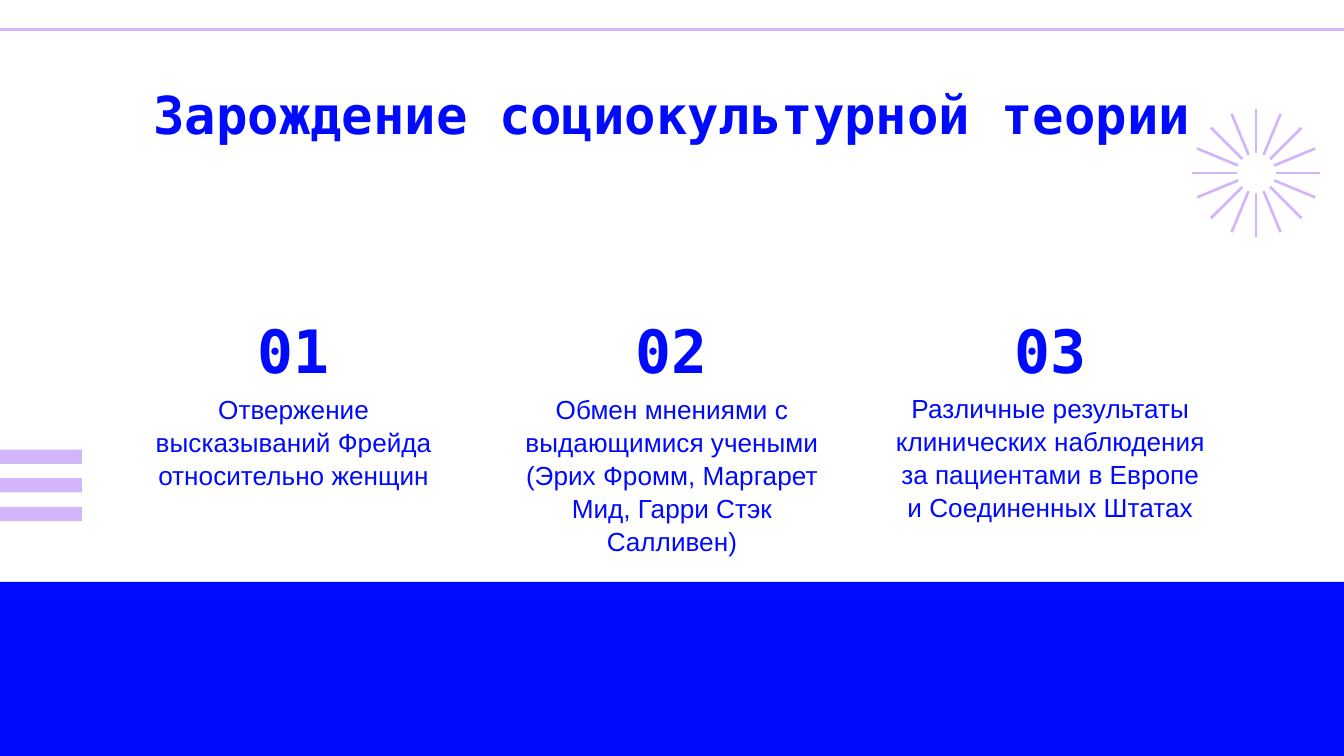
import math

from lxml import etree
from pptx import Presentation
from pptx import util as u
from pptx.dml.color import RGBColor
from pptx.enum import shapes, text
from pptx.oxml.ns import qn

BLUE, LILAC = "000BFD", "D2B5FA"
MONO, SANS = "DejaVu Sans Mono", "Arial"
TITLE = "Зарождение социокультурной теории"
# Number, description, description top and width in cm
COLUMNS = [
    ("01", "Отвержение высказываний Фрейда относительно женщин", 7.16, 5.87),
    ("02", "Обмен мнениями с выдающимися учеными "
           "(Эрих Фромм, Маргарет Мид, Гарри Стэк Салливен)", 7.16, 6.12),
    ("03", "Различные результаты клинических наблюдения "
           "за пациентами в Европе и Соединенных Штатах", 7.14, 6.38),
]


def color(value):
    return RGBColor.from_string(value)


def paint(shape, fill):
    shape.shadow.inherit = False
    shape.fill.solid()
    shape.fill.fore_color.rgb = color(fill)
    shape.line.fill.background()


def add_bar(slide, left, top, width, height, fill):
    bar = slide.shapes.add_shape(shapes.MSO_SHAPE.RECTANGLE, u.Cm(left),
                                 u.Cm(top), u.Cm(width), u.Cm(height))
    paint(bar, fill)


def add_rule(slide, left, right, top):
    rule = slide.shapes.add_connector(shapes.MSO_CONNECTOR.STRAIGHT, u.Cm(left),
                                      u.Cm(top), u.Cm(right), u.Cm(top))
    rule.line.color.rgb = color(LILAC)
    rule.line.width = u.Pt(1.5)
    etree.SubElement(rule._element.spPr, qn("a:effectLst"))


def add_starburst(slide, center_x, center_y, inner, outer, half_width, rays=16):
    for ray in range(rays):
        angle = 2 * math.pi * ray / rays
        cos, sin = math.cos(angle), math.sin(angle)
        corners = [(u.Cm(center_x + along * cos - across * sin),
                    u.Cm(center_y + along * sin + across * cos))
                   for along, across in ((inner, -half_width), (outer, -half_width),
                                         (outer, half_width), (inner, half_width))]
        builder = slide.shapes.build_freeform(*corners[0])
        builder.add_line_segments(corners[1:], close=True)
        paint(builder.convert_to_shape(), LILAC)


def write(shape, box, content, font, size, bold=False,
          anchor=text.MSO_ANCHOR.TOP, spacing=1.0):
    shape.left, shape.top, shape.width, shape.height = map(u.Cm, box)
    frame = shape.text_frame
    frame.text = content
    frame.word_wrap = True
    frame.auto_size = text.MSO_AUTO_SIZE.NONE
    frame.vertical_anchor = anchor
    frame.margin_left = frame.margin_right = u.Cm(0.25)
    frame.margin_top = frame.margin_bottom = u.Cm(0.25)
    paragraph = frame.paragraphs[0]
    paragraph.alignment = text.PP_ALIGN.CENTER
    paragraph.line_spacing = spacing
    paragraph.space_before = u.Pt(0)
    paragraph.font.name = font
    paragraph.font.size = u.Pt(size)
    paragraph.font.bold = bold
    paragraph.font.color.rgb = color(BLUE)
    # No bullet and no hanging indent
    properties = paragraph._p.get_or_add_pPr()
    properties.set("marL", "0")
    properties.set("indent", "0")
    bullet = etree.Element(qn("a:buNone"))
    properties.find(qn("a:spcBef")).addnext(bullet)


def add_columns(slide):
    # The layout has four body placeholders: first number and all descriptions
    first_number, *descriptions = list(slide.placeholders)[1:5]
    for index, (number, description, top, width) in enumerate(COLUMNS):
        center = 12.7 + 7.15 * (index - 1)
        if index == 0:
            number_shape = first_number
        else:
            number_shape = slide.shapes.add_textbox(0, 0, 0, 0)
        write(number_shape, (center - 2.68, 6.12, 5.36, 1.42), number, MONO, 32,
              bold=True, anchor=text.MSO_ANCHOR.BOTTOM)
        write(descriptions[index], (center - width / 2, top, width, 1.6),
              description, SANS, 14, spacing=1.05)


def main():
    presentation = Presentation()
    presentation.slide_width = u.Cm(25.4)
    presentation.slide_height = u.Cm(14.29)
    slide = presentation.slides.add_slide(presentation.slide_layouts[4])

    # Background decoration
    add_bar(slide, 0, 11, 25.4, 3.29, BLUE)
    for index in range(3):
        add_bar(slide, -0.08, 8.5 + 0.54 * index, 1.63, 0.27, LILAC)
    add_rule(slide, -0.38, 25.4, 0.56)
    add_starburst(slide, 23.74, 3.27, 0.37, 1.21, 0.025)

    # Title and numbered columns
    write(slide.shapes.title, (1.73, 1.24, 21.94, 1.6), TITLE, MONO, 28,
          bold=True, spacing=1.05)
    add_columns(slide)

    presentation.save("out.pptx")


if __name__ == "__main__":
    main()
